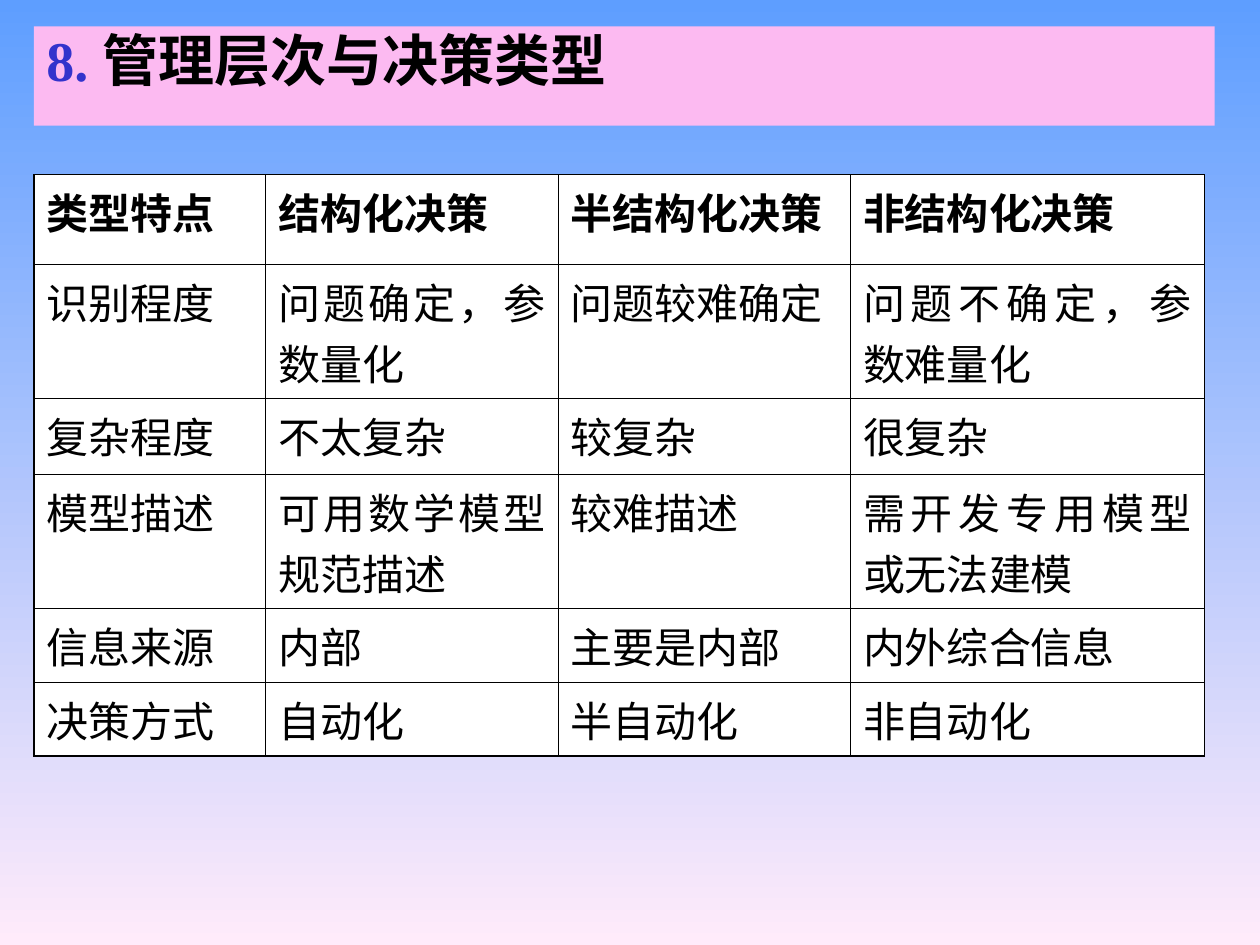
from lxml.etree import SubElement
from pptx import Presentation
from pptx.dml.color import RGBColor
from pptx.enum.shapes import MSO_SHAPE as Shape
from pptx.enum.text import MSO_ANCHOR as Anchor, PP_ALIGN as Align
from pptx.oxml.ns import qn
from pptx.util import Inches, Pt

WIDTH, HEIGHT = 10, 7.5
COLUMN_WIDTHS = [1.84, 2.32, 2.32, 2.81]
ROW_HEIGHTS = [0.71, 1.06, 0.6, 1.06, 0.54, 0.55]
DECISIONS = [
    ["类型特点", "结构化决策", "半结构化决策", "非结构化决策"],
    ["识别程度", "问题确定，参数量化", "问题较难确定", "问题不确定，参数难量化"],
    ["复杂程度", "不太复杂", "较复杂", "很复杂"],
    ["模型描述", "可用数学模型规范描述", "较难描述", "需开发专用模型或无法建模"],
    ["信息来源", "内部", "主要是内部", "内外综合信息"],
    ["决策方式", "自动化", "半自动化", "非自动化"],
]


def color(value):
    return RGBColor.from_string(value)


class Deck:
    font = "Times New Roman"
    ink, accent, band, paper = "000000", "3333CC", "FCBAF1", "FFFFFF"
    sky = ["5E9EFF", "FFEBFA"]
    title_size, cell_size = 32, 24
    outer_line, inner_line = 0.75, 0.45

    def __init__(self):
        self.presentation = Presentation()
        self.presentation.slide_width = Inches(WIDTH)
        self.presentation.slide_height = Inches(HEIGHT)
        self.slide = self.presentation.slides.add_slide(self.presentation.slide_layouts[6])

    def background(self):
        fill = self.slide.background.fill
        fill.gradient()
        fill.gradient_angle = 270
        for stop, shade, position in zip(fill.gradient_stops, self.sky, (0, 1)):
            stop.color.rgb = color(shade)
            stop.position = position

    def place(self, left, top):
        return Inches(left * WIDTH), Inches(top * HEIGHT)

    def style(self, run, size, shade, bold):
        run.font.name = self.font
        run.font.size = Pt(size)
        run.font.bold = bold
        run.font.color.rgb = color(shade)

    def title(self, left, top, width, height, number, heading):
        banner = self.slide.shapes.add_shape(
            Shape.RECTANGLE, *self.place(left, top), *self.place(width, height))
        banner.shadow.inherit = False
        banner.fill.solid()
        banner.fill.fore_color.rgb = color(self.band)
        banner.line.fill.background()
        frame = banner.text_frame
        frame.word_wrap = True
        frame.vertical_anchor = Anchor.TOP
        line = frame.paragraphs[0]
        line.alignment = Align.LEFT
        line.line_spacing = 0.9
        line.space_before = Pt(8)
        indent = Inches(0.67)
        properties = line._p.get_or_add_pPr()
        properties.set("marL", str(indent))
        properties.set("indent", str(-indent))
        for words, shade in ((number, self.accent), (heading, self.ink)):
            run = line.add_run()
            run.text = words
            self.style(run, self.title_size, shade, True)

    def borders(self, cell, outer_sides):
        properties = cell._tc.get_or_add_tcPr()
        for index, (side, outer) in enumerate(outer_sides.items()):
            width = Pt(self.outer_line if outer else self.inner_line)
            edge = properties.makeelement(qn(f"a:ln{side}"), {"w": str(width)})
            fill = SubElement(edge, qn("a:solidFill"))
            SubElement(fill, qn("a:srgbClr"), val=self.ink)
            properties.insert(index, edge)

    def table(self, left, top, widths, heights, rows):
        last_row, last_column = len(heights) - 1, len(widths) - 1
        table = self.slide.shapes.add_table(
            len(heights), len(widths), *self.place(left, top),
            Inches(sum(widths)), Inches(sum(heights))).table
        for column, width in zip(table.columns, widths):
            column.width = Inches(width)
        for row, height in zip(table.rows, heights):
            row.height = Inches(height)
        for r, row in enumerate(rows):
            for c, words in enumerate(row):
                cell = table.cell(r, c)
                cell.fill.solid()
                cell.fill.fore_color.rgb = color(self.paper)
                cell.text_frame.text = words
                line = cell.text_frame.paragraphs[0]
                line.alignment = Align.JUSTIFY
                self.style(line.runs[0], self.cell_size, self.ink, r == 0)
                self.borders(cell, {"L": c == 0, "R": c == last_column,
                                    "T": r == 0, "B": r == last_row})


def main():
    deck = Deck()
    deck.background()
    deck.title(0.027, 0.028, 0.937, 0.105, "8. ", "管理层次与决策类型")
    deck.table(0.027, 0.185, COLUMN_WIDTHS, ROW_HEIGHTS, DECISIONS)
    deck.presentation.save("out.pptx")


if __name__ == "__main__":
    main()
